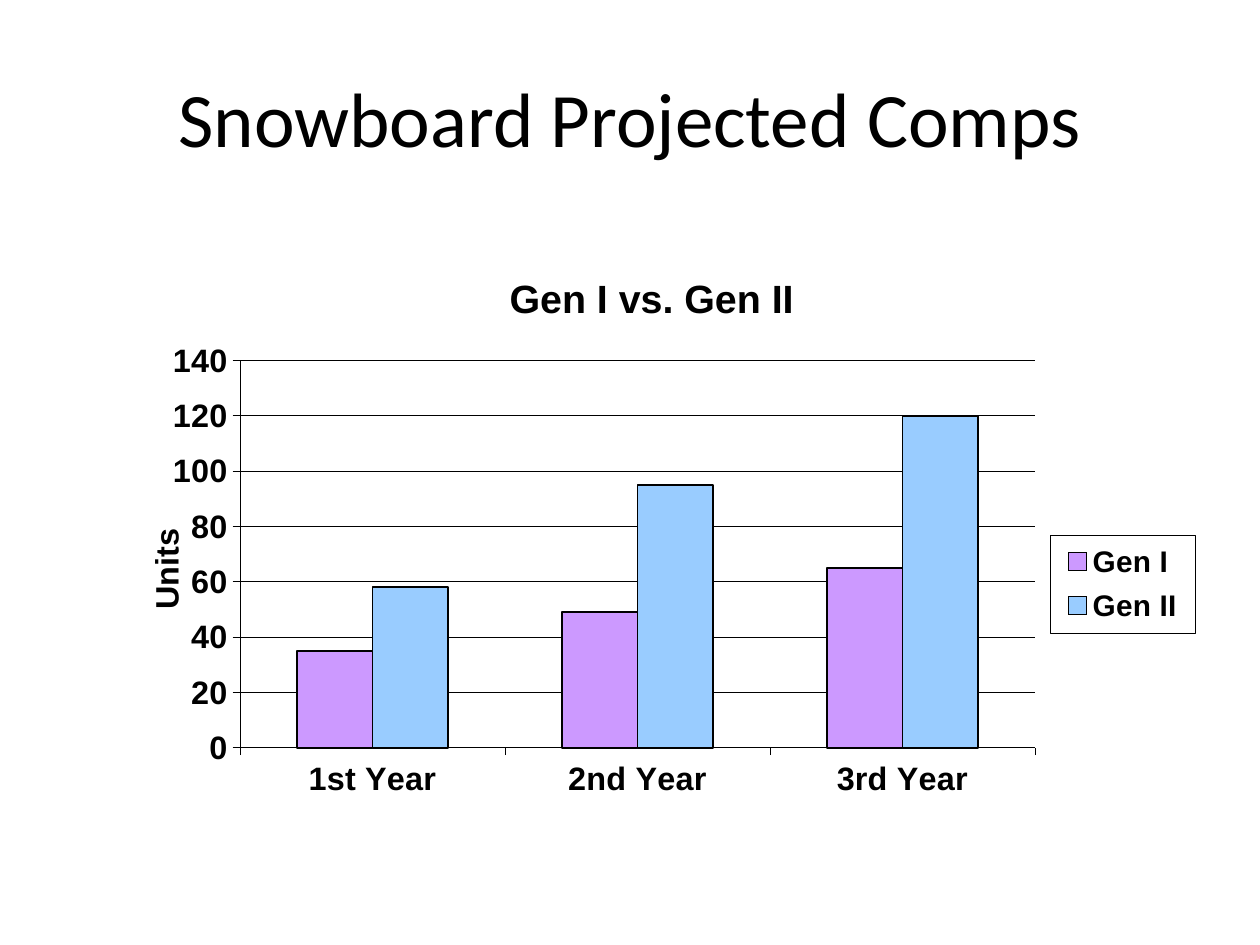
from lxml import etree
from pptx import Presentation
from pptx.chart.data import CategoryChartData
from pptx.dml.color import RGBColor
from pptx.enum.chart import XL_CHART_TYPE as ChartType
from pptx.enum.chart import XL_LEGEND_POSITION as LegendPosition
from pptx.enum.chart import XL_TICK_LABEL_POSITION as LabelPosition
from pptx.enum.chart import XL_TICK_MARK as TickMark
from pptx.enum.text import MSO_ANCHOR as Anchor
from pptx.enum.text import PP_ALIGN as Align
from pptx.oxml import parse_xml
from pptx.oxml.ns import nsdecls, qn
from pptx.util import Inches, Pt

BLACK = "000000"
YEARS = ["1st Year", "2nd Year", "3rd Year"]
GENERATIONS = [
    ("Gen I", [35, 49, 65], "CC99FF"),
    ("Gen II", [58, 95, 120], "99CCFF"),
]


def rgb(color):
    return RGBColor.from_string(color)


def style_font(font, size, name="Arial", bold=True):
    font.name = name
    font.size = Pt(size)
    font.bold = bold
    font.color.rgb = rgb(BLACK)


def style_line(line, width):
    line.color.rgb = rgb(BLACK)
    line.width = Pt(width)


def set_layout(element, index, x, y, w=None, h=None, inner=False):
    """Place a chart part by fractions of the chart's size."""
    old = element.find(qn("c:layout"))
    if old is not None:
        element.remove(old)
    layout = etree.Element(qn("c:layout"))
    manual = etree.SubElement(layout, qn("c:manualLayout"))
    settings = [("layoutTarget", "inner")] if inner else []
    settings += [("xMode", "edge"), ("yMode", "edge"), ("x", x), ("y", y)]
    if w is not None:
        settings += [("w", w), ("h", h)]
    for tag, value in settings:
        etree.SubElement(manual, qn(f"c:{tag}")).set("val", str(value))
    element.insert(index, layout)


def set_title(title, text, size, x, y):
    paragraph = title.text_frame.paragraphs[0]
    paragraph.text = text
    style_font(paragraph.font, size)
    set_layout(title._element, 1, x, y)


def style_axis(axis):
    axis.major_tick_mark = TickMark.OUTSIDE
    axis.minor_tick_mark = TickMark.NONE
    style_font(axis.tick_labels.font, 18.5)
    style_line(axis.format.line, 0.25)


def add_legend(chart):
    chart.has_legend = True
    legend = chart.legend
    legend.position = LegendPosition.RIGHT
    legend.include_in_layout = False
    style_font(legend.font, 17)
    set_layout(legend._element, 1, 0.867, 0.5, 0.131, 0.168)
    border = parse_xml(
        f'<c:spPr {nsdecls("c", "a")}><a:solidFill><a:srgbClr val="FFFFFF"/></a:solidFill>'
        f'<a:ln w="{Pt(0.25)}"><a:solidFill><a:srgbClr val="{BLACK}"/></a:solidFill></a:ln></c:spPr>'
    )
    legend._element.find(qn("c:txPr")).addprevious(border)


def add_slide_title(slide, left, top, width, height):
    box = slide.shapes.add_textbox(left, top, width, height)
    frame = box.text_frame
    frame.word_wrap = True
    frame.vertical_anchor = Anchor.MIDDLE
    heading = frame.paragraphs[0]
    heading.text = "Snowboard Projected Comps"
    heading.alignment = Align.CENTER
    style_font(heading.font, 44, "Calibri", False)


def add_units_chart(slide, left, top, width, height):
    data = CategoryChartData()
    data.categories = YEARS
    for name, units, _ in GENERATIONS:
        data.add_series(name, units)
    chart = slide.shapes.add_chart(
        ChartType.COLUMN_CLUSTERED, left, top, width, height, data
    ).chart
    style_font(chart.font, 18.5)
    chart.has_title = True
    set_title(chart.chart_title, "Gen I vs. Gen II", 22.5, 0.37, 0.04)

    plot = chart.plots[0]
    plot.gap_width = 150
    plot.overlap = 0
    plot.vary_by_categories = False
    for series, (_, _, color) in zip(plot.series, GENERATIONS):
        series.format.fill.solid()
        series.format.fill.fore_color.rgb = rgb(color)
        style_line(series.format.line, 1)

    years, units = chart.category_axis, chart.value_axis
    for axis in (years, units):
        style_axis(axis)
    years.tick_label_position = LabelPosition.LOW
    units.minimum_scale, units.maximum_scale, units.major_unit = 0, 140, 20
    units.has_major_gridlines = True
    style_line(units.major_gridlines.format.line, 0.25)
    units.has_title = True
    set_title(units.axis_title, "Units", 18.5, 0.04, 0.478)

    add_legend(chart)
    set_layout(chart._chartSpace.chart.plotArea, 0, 0.132, 0.201, 0.721, 0.664, inner=True)


def main():
    deck = Presentation()
    deck.slide_width, deck.slide_height = Inches(10), Inches(7.5)
    slide = deck.slides.add_slide(deck.slide_layouts[6])
    add_slide_title(slide, Inches(0.5), Inches(0.3), Inches(9), Inches(1.25))
    add_units_chart(slide, Inches(0.75), Inches(1.93), Inches(8.75), Inches(4.63))
    deck.save("out.pptx")


if __name__ == "__main__":
    main()
